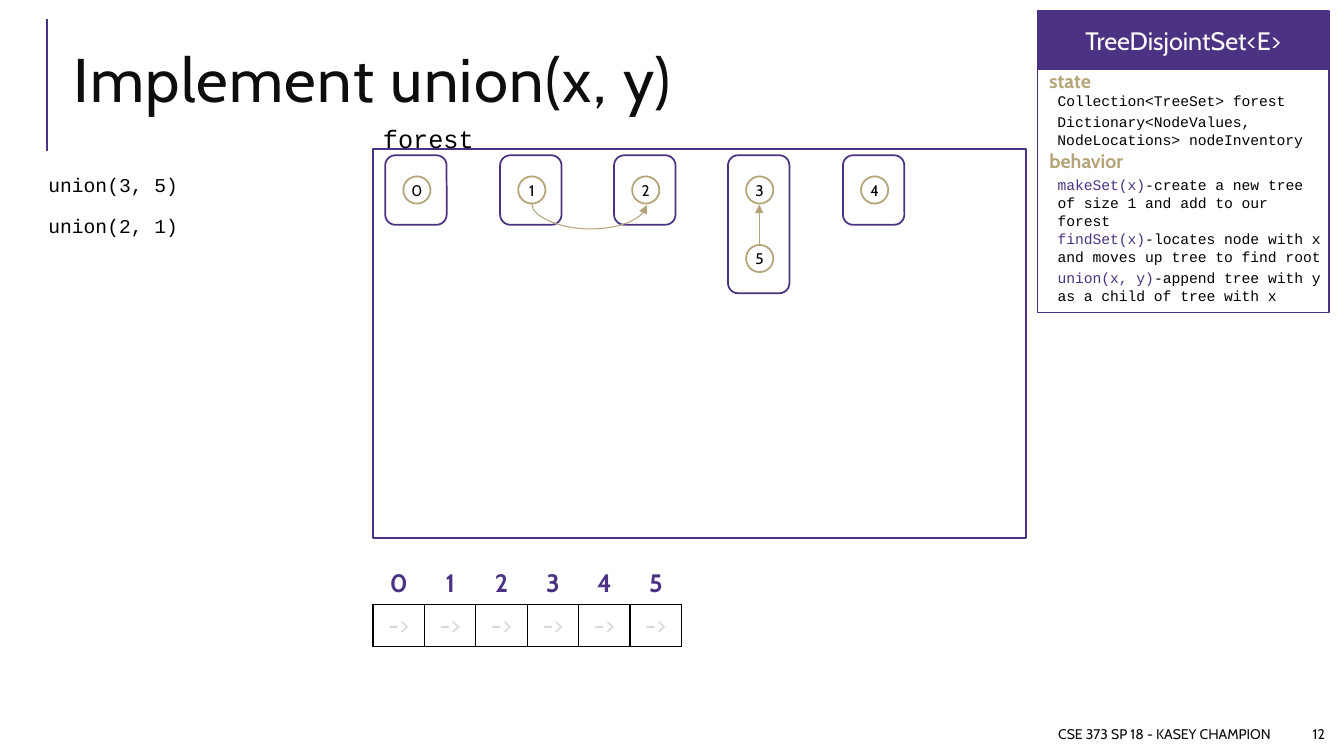
from lxml import etree
from pptx import Presentation
from pptx import util as u
from pptx.dml.color import RGBColor
from pptx.enum import shapes, text
from pptx.oxml import ns

PX = 9144
PURPLE = RGBColor(0x4C, 0x32, 0x82)
GOLD = RGBColor(0xB6, 0xA4, 0x79)
INK = RGBColor(0x0D, 0x0D, 0x0D)
BLACK = RGBColor(0, 0, 0)
WHITE = RGBColor(0xFF, 0xFF, 0xFF)
GREY = RGBColor(0xD8, 0xD8, 0xD8)
SANS, MONO = "Cabin", "Courier New"
LEFT, CENTER, RIGHT = text.PP_ALIGN.LEFT, text.PP_ALIGN.CENTER, text.PP_ALIGN.RIGHT
TOP, MIDDLE = text.MSO_ANCHOR.TOP, text.MSO_ANCHOR.MIDDLE


def px(*lengths):
    """Turn pixel lengths into EMU."""
    return [u.Emu(length * PX) for length in lengths]


def child(parent, tag, **attributes):
    """Append a DrawingML element to a parent."""
    return etree.SubElement(parent, ns.qn("a:" + tag), attributes)


def write(frame, *paragraphs, size, font=SANS, color=BLACK, bold=False, align=LEFT,
          anchor=TOP, wrap=True, inset=None, spacing=None, before=0, after=0):
    """Fill a text frame; a paragraph is a string or a list of (text, colour) runs."""
    frame.word_wrap, frame.vertical_anchor = wrap, anchor
    frame.auto_size = text.MSO_AUTO_SIZE.NONE
    if inset is not None:
        frame.margin_left, frame.margin_top, frame.margin_right, frame.margin_bottom = px(*[inset] * 4)
    for index, runs in enumerate(paragraphs):
        paragraph = frame.add_paragraph() if index else frame.paragraphs[0]
        paragraph.alignment, paragraph.line_spacing = align, spacing
        paragraph.space_before, paragraph.space_after = u.Pt(before), u.Pt(after)
        for words, run_color in [(runs, color)] if isinstance(runs, str) else runs:
            run = paragraph.add_run()
            run.text = words
            run.font.name, run.font.size, run.font.bold = font, u.Pt(size), bold
            run.font.color.rgb = run_color


def add_label(parent, box, *paragraphs, **style):
    """Add a text box."""
    write(parent.shapes.add_textbox(*px(*box)).text_frame, *paragraphs, **style)


def add_box(parent, kind, box, line=PURPLE, fill=None):
    """Add an outlined preset shape."""
    shape = parent.shapes.add_shape(kind, *px(*box))
    shape.shadow.inherit = False
    shape.line.color.rgb, shape.line.width = line, u.Pt(1.25)
    if fill is None:
        shape.fill.background()
    else:
        shape.fill.solid()
        shape.fill.fore_color.rgb = fill
    return shape


def add_line(slide, kind, ends, color, width, arrow=False):
    """Add a connector, with an arrowhead at its end if asked."""
    line = slide.shapes.add_connector(kind, *px(*ends))
    line.line.color.rgb, line.line.width = color, u.Pt(width)
    if arrow:
        child(line.line._get_or_add_ln(), "tailEnd", type="triangle")
    child(line._element.spPr, "effectLst")
    return line


def add_heading(slide, left, top):
    """Place the title beside its vertical rule."""
    add_line(slide, shapes.MSO_CONNECTOR.STRAIGHT, (left, top + 131, left, top), PURPLE, 1.5)
    title = slide.shapes.title
    title.left, title.top, title.width, title.height = px(left + 16, top + 10, 1223, 111)
    write(title.text_frame, "Implement union(x, y)", size=44, color=INK, anchor=MIDDLE, spacing=0.8)
    title.text_frame.paragraphs[0].runs[0].font._element.set("spc", "100")


def add_calls(slide, box):
    """List the union calls in the body placeholder."""
    calls = slide.placeholders[1]
    calls.left, calls.top, calls.width, calls.height = px(*box)
    write(calls.text_frame, "union(3, 5)", "union(2, 1)", size=14, font=MONO,
          inset=5, spacing=0.9, before=12, after=2)
    for paragraph in calls.text_frame.paragraphs:
        properties = paragraph._p.get_or_add_pPr()
        properties.set("marL", str(10 * PX))
        properties.set("indent", "0")
        child(properties, "buNone")


def add_node(slide, left, top, value):
    """Draw one numbered tree node."""
    node = add_box(slide, shapes.MSO_SHAPE.OVAL, (left, top, 27, 27), GOLD, WHITE)
    write(node.text_frame, value, size=11, align=CENTER, anchor=MIDDLE, wrap=False, inset=0)


def add_forest(slide, left, top, width, height):
    """Draw the forest with its trees and the links between nodes."""
    add_box(slide, shapes.MSO_SHAPE.RECTANGLE, (left, top, width, height))
    add_label(slide, (left, top - 31, 111, 40), "forest", size=18, font=MONO, wrap=False)
    trees = ["0", "1", "2", "35", "4"]
    level = 68
    node_top = top + 27
    for index, values in enumerate(trees):
        tree_left = left + 12 + round(113.5 * index)
        tree_height = 69 + level * (len(values) - 1)
        for depth, value in enumerate(values):
            add_node(slide, tree_left + 18, node_top + level * depth, value)
        add_box(slide, shapes.MSO_SHAPE.ROUNDED_RECTANGLE, (tree_left, top + 6, 61, tree_height))
    root_x, root_bottom = left + 383, node_top + 28
    add_line(slide, shapes.MSO_CONNECTOR.STRAIGHT, (root_x, node_top + level - 1, root_x, root_bottom),
             GOLD, 0.75, arrow=True)
    middle, span, sag = left + 215, 114, 25
    link = add_line(slide, shapes.MSO_CONNECTOR.CURVE,
                    (middle, root_bottom - span // 2, middle - 1, root_bottom + span // 2),
                    GOLD, 0.75, arrow=True)
    link._element.spPr.find(ns.qn("a:xfrm")).set("rot", str(270 * 60000))
    guides = link._element.spPr.find(ns.qn("a:prstGeom")).find(ns.qn("a:avLst"))
    child(guides, "gd", name="adj1", fmla=f"val {sag * 100000}")


def add_borders(cell, **colors):
    """Give the named cell sides a one-point border."""
    properties = cell._tc.get_or_add_tcPr()
    for index, (side, color) in enumerate(colors.items()):
        line = etree.Element(ns.qn("a:" + side), w=str(u.Pt(1)))
        child(child(line, "solidFill"), "srgbClr", val=str(color))
        properties.insert(index, line)


def add_inventory(slide, left, top, cell_width, cell_height):
    """Draw the node inventory as indices over pointers."""
    indices = [str(number) for number in range(6)]
    rows = [(indices, PURPLE, True, WHITE), (["->"] * 6, GREY, False, BLACK)]
    inventory = slide.shapes.add_table(
        2, 6, *px(left, top, cell_width * 6, cell_height * 2)).table
    inventory.first_row = inventory.horz_banding = False
    for column in inventory.columns:
        column.width = px(cell_width)[0]
    for row, (values, color, bold, edge) in enumerate(rows):
        inventory.rows[row].height = px(cell_height)[0]
        for column, value in enumerate(values):
            cell = inventory.cell(row, column)
            cell.fill.background()
            add_borders(cell, lnL=edge, lnR=edge, lnT=edge, lnB=BLACK)
            write(cell.text_frame, value, size=18, color=color, bold=bold, align=CENTER)


def add_class_panel(slide, left, top, width, height):
    """Draw the class summary with its state and behavior."""
    panel = slide.shapes.add_group_shape()
    header = 58
    add_box(panel, shapes.MSO_SHAPE.RECTANGLE, (left, top + header, width, height - header))
    name = add_box(panel, shapes.MSO_SHAPE.RECTANGLE, (left, top, width, header), fill=PURPLE)
    write(name.text_frame, "TreeDisjointSet<E>", size=18, color=WHITE, align=CENTER, anchor=MIDDLE)
    for section, offset in (("state", 52), ("behavior", 132)):
        add_label(panel, (left + 2, top + offset, 223, 34), section, size=14, color=GOLD, bold=True)
    members = [
        ("", "Collection<TreeSet> forest", 75, 258, 28),
        ("", "Dictionary<NodeValues, NodeLocations> nodeInventory", 96, 266, 45),
        ("makeSet(x)", "-create a new tree of size 1 and add to our forest", 159, 279, 63),
        ("findSet(x)", "-locates node with x and moves up tree to find root", 212, 305, 47),
        ("union(x, y)", "-append tree with y as a child of tree with x", 251, 295, 47),
    ]
    for method, detail, offset, member_width, member_height in members:
        runs = [(method, PURPLE), (detail, BLACK)] if method else detail
        add_label(panel, (left + 10, top + offset, member_width, member_height), runs,
                  size=10.5, font=MONO)


def add_footer(slide, top):
    """Write the course line and the slide number."""
    for left, width, words in ((625, 645, "CSE 373 SP 18 - KASEY CHAMPION"), (1278, 46, "12")):
        add_label(slide, (left, top, width, 30), words, size=10, color=INK, align=RIGHT, anchor=MIDDLE)


def main():
    """Build and save the slide."""
    deck = Presentation()
    deck.slide_width, deck.slide_height = px(1333, 750)
    slide = deck.slides.add_slide(deck.slide_layouts[1])
    add_heading(slide, 47, 19)
    add_calls(slide, (33, 169, 227, 350))
    add_forest(slide, 370, 148, 648, 386)
    add_inventory(slide, 370, 559, 51, 41)
    add_class_panel(slide, 1029, 11, 289, 299)
    add_footer(slide, 713)
    deck.save("out.pptx")


if __name__ == "__main__":
    main()
